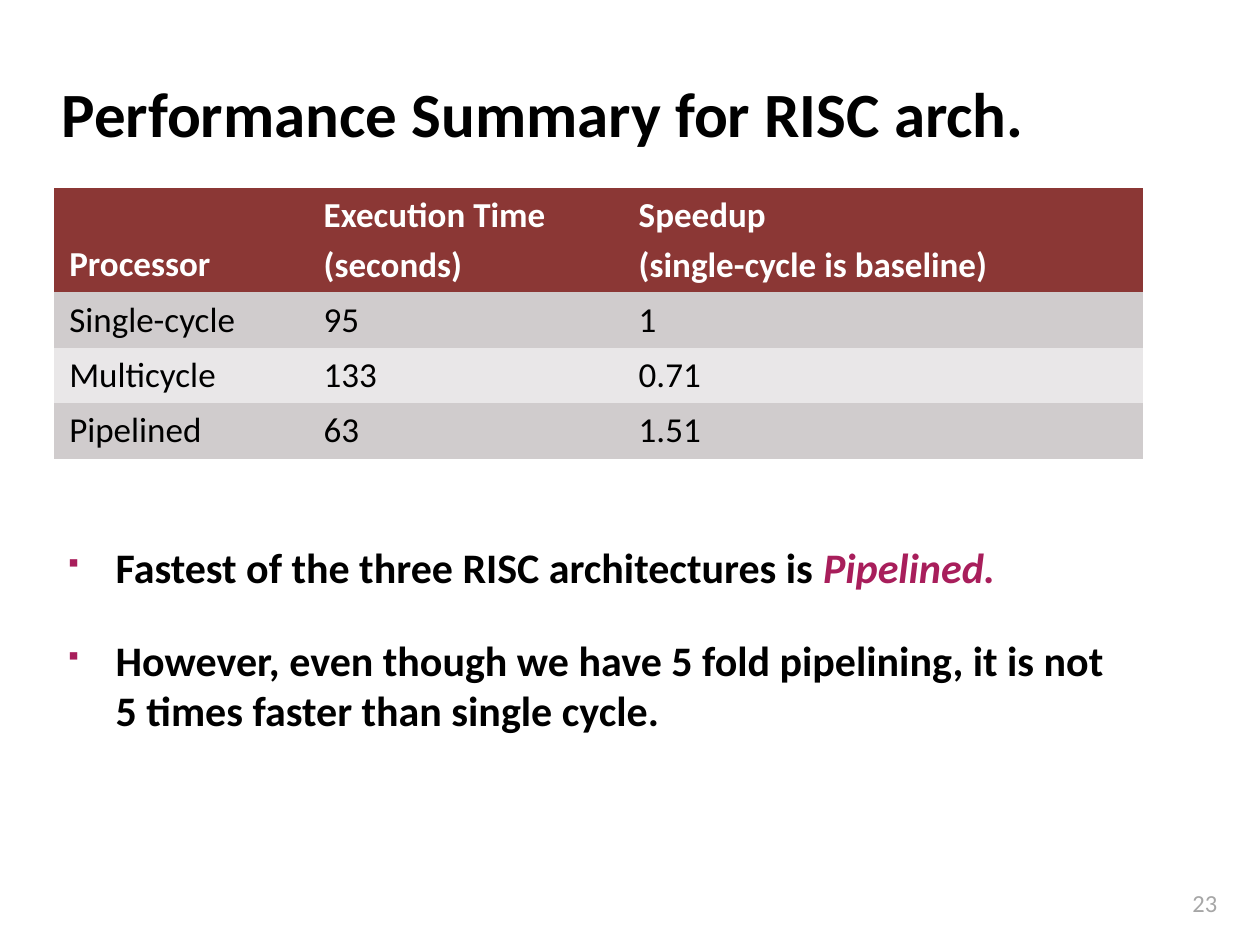
from lxml import etree
from pptx import Presentation
from pptx.dml.color import RGBColor
from pptx.enum.text import MSO_ANCHOR, PP_ALIGN
from pptx.oxml.ns import qn
from pptx.util import Inches, Pt

TOP, MIDDLE, BOTTOM = MSO_ANCHOR.TOP, MSO_ANCHOR.MIDDLE, MSO_ANCHOR.BOTTOM
LEFT, RIGHT = PP_ALIGN.LEFT, PP_ALIGN.RIGHT
FONT = "Calibri"
PLAIN_TABLE_STYLE = "{2D5ABB26-0587-4C30-8999-92F81FD0307C}"
COLORS = {
    "text": "000000",
    "header": "8B3735",
    "header_text": "FFFFFF",
    "odd_row": "D0CCCD",
    "even_row": "E9E7E8",
    "accent": "A81E5B",
    "number": "A6A6A6",
}
COLUMN_WIDTHS = [2.02, 2.5, 4.12]
ROW_HEIGHTS = [0.83, 0.44, 0.44, 0.44]
RESULTS = [
    ["Processor", "Execution Time\n(seconds)", "Speedup\n(single-cycle is baseline)"],
    ["Single-cycle", "95", "1"],
    ["Multicycle", "133", "0.71"],
    ["Pipelined", "63", "1.51"],
]
FINDINGS = [
    [("Fastest of the three RISC architectures is ", False), ("Pipelined.", True)],
    [("However, even though we have 5 fold pipelining, it is not "
      "5 times faster than single cycle.", False)],
]


def style(span, size, color, bold=False, italic=False):
    span.font.name = FONT
    span.font.size = Pt(size)
    span.font.bold = bold
    span.font.italic = italic
    span.font.color.rgb = RGBColor.from_string(COLORS[color])


def add_text_frame(page, box, anchor=TOP):
    frame = page.shapes.add_textbox(*map(Inches, box)).text_frame
    frame.word_wrap = True
    frame.vertical_anchor = anchor
    return frame


def add_line(page, box, text, size, color, bold=False, align=LEFT, anchor=TOP):
    frame = add_text_frame(page, box, anchor)
    frame.text = text
    para = frame.paragraphs[0]
    para.alignment = align
    style(para.runs[0], size, color, bold)


def fill_cell(cell, text, fill, color, is_header):
    cell.fill.solid()
    cell.fill.fore_color.rgb = RGBColor.from_string(COLORS[fill])
    cell.margin_left = cell.margin_right = Inches(0.12)
    cell.margin_top = cell.margin_bottom = Inches(0.05)
    cell.vertical_anchor = BOTTOM if is_header else TOP
    cell.text_frame.text = text
    for para in cell.text_frame.paragraphs:
        para.space_before = Pt(4)
        style(para.runs[0], 20, color, is_header)


def add_results(page, box):
    table = page.shapes.add_table(
        len(RESULTS), len(COLUMN_WIDTHS), *map(Inches, box)).table
    table._tbl.tblPr.find(qn("a:tableStyleId")).text = PLAIN_TABLE_STYLE
    for column, width in zip(table.columns, COLUMN_WIDTHS):
        column.width = Inches(width)
    for index, (row, height) in enumerate(zip(table.rows, ROW_HEIGHTS)):
        row.height = Inches(height)
        is_header = index == 0
        fill = "header" if is_header else "odd_row" if index % 2 else "even_row"
        color = "header_text" if is_header else "text"
        for cell, text in zip(row.cells, RESULTS[index]):
            fill_cell(cell, text, fill, color, is_header)


def add_bullet(para):
    properties = para._p.get_or_add_pPr()
    properties.set("marL", str(Inches(0.38)))
    properties.set("indent", str(-Inches(0.38)))
    bullet_color = etree.SubElement(properties, qn("a:buClr"))
    etree.SubElement(bullet_color, qn("a:srgbClr"), val=COLORS["accent"])
    etree.SubElement(properties, qn("a:buSzPct"), val="60000")
    etree.SubElement(properties, qn("a:buFont"), typeface="Wingdings", charset="2")
    etree.SubElement(properties, qn("a:buChar"), char="§")


def add_findings(page, box):
    frame = add_text_frame(page, box)
    for index, finding in enumerate(FINDINGS):
        para = frame.add_paragraph() if index else frame.paragraphs[0]
        para.space_before = Pt(24)
        add_bullet(para)
        for text, is_accent in finding:
            span = para.add_run()
            span.text = text
            style(span, 24, "accent" if is_accent else "text", True, is_accent)


def build_summary(deck):
    page = deck.slides.add_slide(deck.slide_layouts[6])
    add_line(page, (9, 7, 0.76, 0.34), "23", 14, "number", align=RIGHT)
    add_line(page, (0.39, 0.48, 8.3, 0.83), "Performance Summary for RISC arch.",
             36, "text", bold=True, anchor=MIDDLE)
    add_results(page, (0.43, 1.49, sum(COLUMN_WIDTHS), sum(ROW_HEIGHTS)))
    add_findings(page, (0.44, 4.25, 8.64, 2.68))


deck = Presentation()
deck.slide_width = Inches(10)
deck.slide_height = Inches(7.5)
build_summary(deck)
deck.save("out.pptx")
